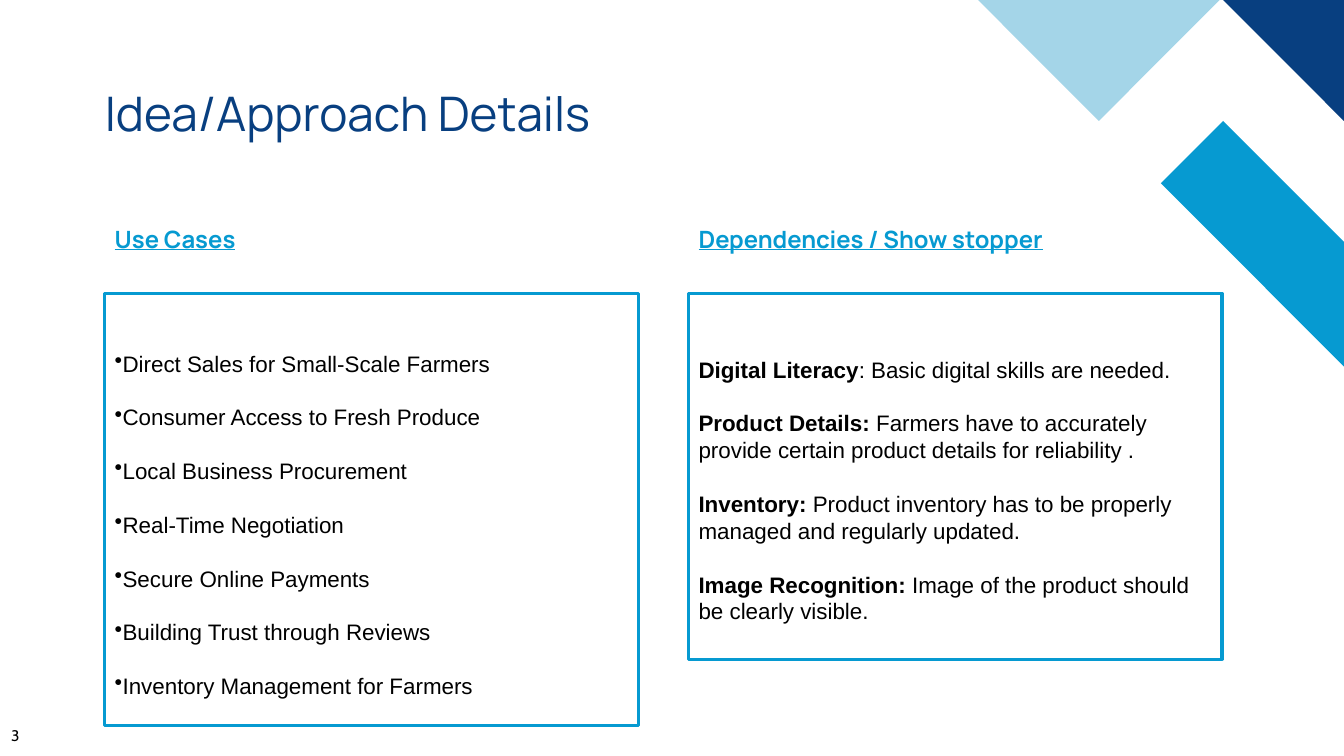
from lxml.etree import SubElement
from pptx import Presentation
from pptx.dml.color import RGBColor
from pptx.enum.shapes import MSO_SHAPE
from pptx.enum.text import MSO_ANCHOR as Anchor, PP_ALIGN as Align
from pptx.oxml.ns import qn
from pptx.util import Inches, Pt

NAVY = RGBColor(0x08, 0x3F, 0x80)
BLUE = RGBColor(0x06, 0x9A, 0xD1)
PALE = RGBColor(0xA4, 0xD5, 0xE8)
BLACK = RGBColor(0, 0, 0)

WIDTH, HEIGHT = Inches(13.33), Inches(7.5)

# Columns and rows, in percent of the slide
LEFT_COLUMN, RIGHT_COLUMN, COLUMN_WIDTH = 7.8, 51.24, 39.69
HEADING_ROW, PANEL_ROW = 29.47, 38.8

TITLE_FORMAT = {"name": "Manrope", "size": Pt(34), "color": NAVY}
HEADING_FORMAT = {"name": "Manrope", "size": Pt(17), "color": BLUE,
                  "bold": True, "underline": True}
BODY_FORMAT = {"name": "Arial", "size": Pt(16), "color": BLACK}
NUMBER_FORMAT = {"name": "Cabin", "size": Pt(11), "color": BLACK}

# Outlines in shares of the corner square
CORNER_SHAPES = [
    (BLUE, [(1, 1), (1, 0.66), (0.67, 0.33), (0.5, 0.5)]),
    (NAVY, [(1, 0.33), (1, 0), (0.67, 0)]),
    (PALE, [(0, 0), (0.33, 0.33), (0.66, 0)]),
]

USE_CASES = [
    "Direct Sales for Small-Scale Farmers",
    "Consumer Access to Fresh Produce",
    "Local Business Procurement",
    "Real-Time Negotiation",
    "Secure Online Payments",
    "Building Trust through Reviews",
    "Inventory Management for Farmers",
]
DEPENDENCIES = [
    ("Digital Literacy", ": Basic digital skills are needed."),
    ("Product Details: ", "Farmers have to accurately provide certain "
     "product details for reliability ."),
    ("Inventory: ", "Product inventory has to be properly managed and "
     "regularly updated."),
    ("Image Recognition: ", "Image of the product should be clearly visible."),
]


def place(left, top, width, height):
    """Turn percentages of the slide into lengths."""
    return (int(WIDTH * left / 100), int(HEIGHT * top / 100),
            int(WIDTH * width / 100), int(HEIGHT * height / 100))


def add_run(paragraph, text, formats):
    run = paragraph.add_run()
    run.text = text
    for key, value in formats.items():
        if key == "color":
            run.font.color.rgb = value
        else:
            setattr(run.font, key, value)


def set_frame(frame, side=0.0, top=0.0, anchor=Anchor.TOP):
    settings = {"word_wrap": True, "vertical_anchor": anchor,
                "margin_left": Inches(side), "margin_right": Inches(side),
                "margin_top": Inches(top), "margin_bottom": 0}
    for key, value in settings.items():
        setattr(frame, key, value)


def add_label(slide, box, text, formats, line_spacing=0.9, **frame_settings):
    frame = slide.shapes.add_textbox(*place(*box)).text_frame
    set_frame(frame, **frame_settings)
    paragraph = frame.paragraphs[0]
    paragraph.line_spacing = line_spacing
    add_run(paragraph, text, formats)


def add_corner(slide, box):
    left, top, width, height = place(*box)
    for color, outline in CORNER_SHAPES:
        points = [(round(left + x * width), round(top + y * height))
                  for x, y in outline]
        builder = slide.shapes.build_freeform(*points[0])
        builder.add_line_segments(points[1:], close=True)
        shape = builder.convert_to_shape()
        shape.shadow.inherit = False
        shape.fill.solid()
        shape.fill.fore_color.rgb = color
        shape.line.fill.background()


def add_panel(slide, box, entries, top, bulleted=False):
    """Outlined box; each entry is a list of (text, bold) runs."""
    shape = slide.shapes.add_shape(MSO_SHAPE.RECTANGLE, *place(*box))
    shape.shadow.inherit = False
    shape.fill.background()
    shape.line.color.rgb = BLUE
    shape.line.width = Pt(2.25)
    frame = shape.text_frame
    set_frame(frame, side=0.1, top=top)
    for index, runs in enumerate(entries):
        paragraph = frame.add_paragraph() if index else frame.paragraphs[0]
        paragraph.alignment = Align.LEFT
        paragraph.space_after = Pt(19.2)
        if bulleted:
            properties = paragraph._p.get_or_add_pPr()
            SubElement(properties, qn("a:buChar")).set("char", "•")
        for text, bold in runs:
            add_run(paragraph, text, {**BODY_FORMAT, "bold": bold})


def add_column(slide, left, heading, panel_height, entries, **panel_settings):
    add_label(slide, (left, HEADING_ROW, COLUMN_WIDTH, 4.67), heading,
              HEADING_FORMAT, side=0.1, top=0.05)
    add_panel(slide, (left, PANEL_ROW, COLUMN_WIDTH, panel_height), entries,
              **panel_settings)


def build_details_slide(presentation):
    slide = presentation.slides.add_slide(presentation.slide_layouts[6])
    # Corner decoration
    add_corner(slide, (72.77, 0, 27.23, 48.5))
    # Title
    add_label(slide, (LEFT_COLUMN, 9.87, 56.86, 8.93),
              "Idea/Approach Details", TITLE_FORMAT, anchor=Anchor.BOTTOM)
    # Two columns
    add_column(slide, LEFT_COLUMN, "Use Cases", 57.2,
               [[(text, False)] for text in USE_CASES],
               top=0.56, bulleted=True)
    add_column(slide, RIGHT_COLUMN, "Dependencies / Show stopper", 48.4,
               [[(term, True), (text, False)] for term, text in DEPENDENCIES],
               top=0.62)
    # Slide number
    add_label(slide, (0.83, 96, 4.28, 3.6), "3", NUMBER_FORMAT, line_spacing=1)


def main():
    presentation = Presentation()
    presentation.slide_width, presentation.slide_height = WIDTH, HEIGHT
    build_details_slide(presentation)
    presentation.save("out.pptx")


if __name__ == "__main__":
    main()
